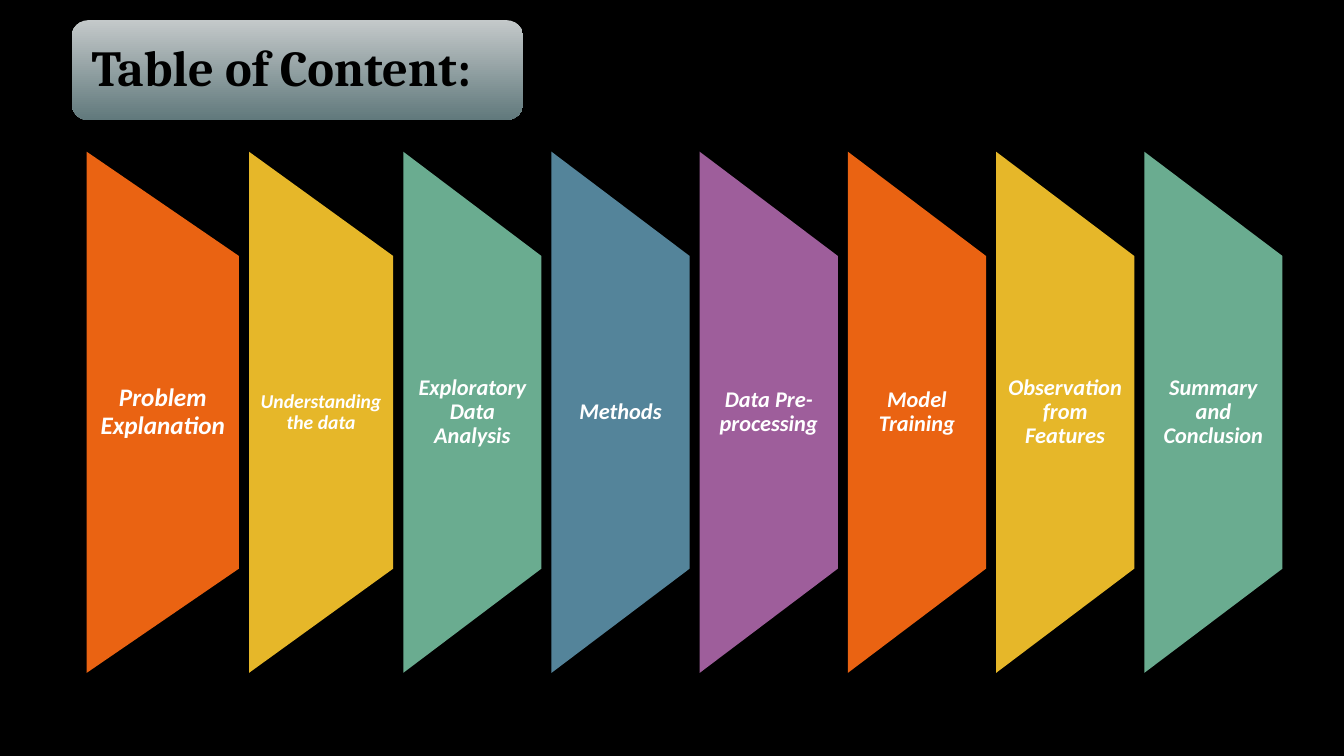
from pptx import Presentation
from pptx.dml.color import RGBColor
from pptx.enum.shapes import MSO_SHAPE
from pptx.enum.text import MSO_ANCHOR, PP_ALIGN
from pptx.util import Inches, Pt

TRAPEZOID = MSO_SHAPE.FLOWCHART_MANUAL_OPERATION
ROUNDED = MSO_SHAPE.ROUNDED_RECTANGLE
MIDDLE = MSO_ANCHOR.MIDDLE
LEFT, CENTER = PP_ALIGN.LEFT, PP_ALIGN.CENTER

COLORS = {
    "background": "000000",
    "title": "000000",
    "label": "FFFFFF",
    "banner_top": "C4C9CA",
    "banner_bottom": "61797C",
    "orange": "EA6312",
    "yellow": "E6B729",
    "green": "6AAC90",
    "blue": "54849A",
    "purple": "9E5E9B",
}


def color(name):
    return RGBColor.from_string(COLORS[name])


def add_text(slide, box, text, font_name, size, color_name, alignment, insets):
    text_box = slide.shapes.add_textbox(*(Inches(length) for length in box))
    text_frame = text_box.text_frame
    text_frame.word_wrap = True
    text_frame.vertical_anchor = MIDDLE
    text_frame.margin_left = text_frame.margin_right = Inches(insets[0])
    text_frame.margin_top = text_frame.margin_bottom = Inches(insets[1])
    text_frame.text = text
    paragraph = text_frame.paragraphs[0]
    paragraph.alignment = alignment
    paragraph.line_spacing = 0.9
    font = paragraph.runs[0].font
    font.name, font.size, font.bold = font_name, Pt(size), True
    font.color.rgb = color(color_name)
    return font


presentation = Presentation()
presentation.slide_width = Inches(13.33)
presentation.slide_height = Inches(7.5)
slide = presentation.slides.add_slide(presentation.slide_layouts[6])
slide.background.fill.solid()
slide.background.fill.fore_color.rgb = color("background")

# Topic panels: label, colour, width, text size
topics = [
    ("Problem Explanation", "orange", 1.51, 18),
    ("Understanding the data", "yellow", 1.43, 14),
    ("Exploratory Data Analysis", "green", 1.37, 16),
    ("Methods", "blue", 1.37, 16),
    ("Data Pre-processing", "purple", 1.37, 16),
    ("Model Training", "orange", 1.37, 16),
    ("Observation from Features", "yellow", 1.37, 16),
    ("Summary and Conclusion", "green", 1.37, 16),
]
PANEL_HEIGHT = 5.17
LABEL_HEIGHT = PANEL_HEIGHT * 0.6
PANEL_MIDDLE = 4.09
PANEL_GAP = 0.1

panel_left = 0.86
for label, fill_name, width, size in topics:
    # A quarter turn swaps the panel's width and height around its centre
    panel = slide.shapes.add_shape(
        TRAPEZOID,
        Inches(panel_left + (width - PANEL_HEIGHT) / 2),
        Inches(PANEL_MIDDLE - width / 2),
        Inches(PANEL_HEIGHT),
        Inches(width),
    )
    panel.rotation = 270
    panel.shadow.inherit = False
    panel.fill.solid()
    panel.fill.fore_color.rgb = color(fill_name)
    panel.line.fill.background()

    label_box = (panel_left, PANEL_MIDDLE - LABEL_HEIGHT / 2, width, LABEL_HEIGHT)
    label_font = add_text(slide, label_box, label, "Calibri", size, "label",
                          CENTER, (size / 150, 0))
    label_font.italic = True
    panel_left += width + PANEL_GAP

# Title banner
banner = slide.shapes.add_shape(
    ROUNDED, Inches(0.71), Inches(0.2), Inches(4.48), Inches(0.99))
banner.shadow.inherit = False
banner.line.fill.background()
banner.fill.gradient()
banner.fill.gradient_angle = 270
for stop, name in zip(banner.fill.gradient_stops, ("banner_top", "banner_bottom")):
    stop.color.rgb = color(name)
add_text(slide, (0.76, 0.25, 4.39, 0.89), "Table of Content:", "Cambria", 36,
         "title", LEFT, (0.15, 0.15))

presentation.save("out.pptx")
